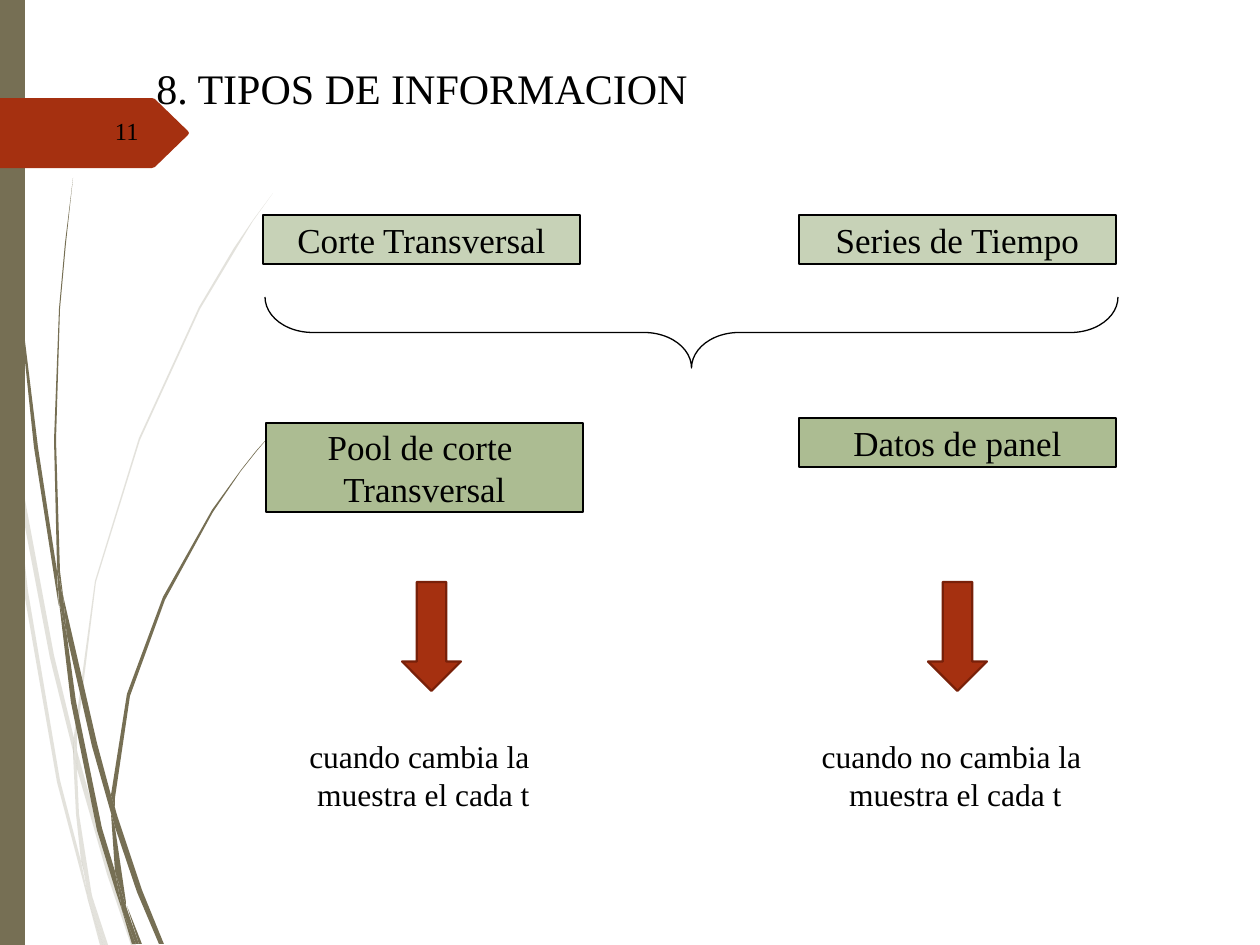
from lxml import etree
from pptx import Presentation
from pptx.dml.color import RGBColor
from pptx.enum.shapes import MSO_SHAPE
from pptx.enum.text import MSO_ANCHOR, PP_ALIGN
from pptx.oxml.ns import qn
from pptx.util import Pt

EMU_PER_PX = 914400 / 126
FONT = "Times New Roman"
BLACK = RGBColor(0x00, 0x00, 0x00)
OLIVE = RGBColor(0x76, 0x6F, 0x54)
RUST = RGBColor(0xA5, 0x30, 0x10)
DARK_RUST = RGBColor(0x78, 0x20, 0x09)
LIGHT_GREEN = RGBColor(0xC7, 0xD2, 0xB7)
GREEN = RGBColor(0xAC, 0xBC, 0x92)

RECTANGLE = MSO_SHAPE.RECTANGLE
RIGHT_BRACE = MSO_SHAPE.RIGHT_BRACE
DOWN_ARROW = MSO_SHAPE.DOWN_ARROW
LEFT, CENTER, RIGHT = PP_ALIGN.LEFT, PP_ALIGN.CENTER, PP_ALIGN.RIGHT
TOP, MIDDLE = MSO_ANCHOR.TOP, MSO_ANCHOR.MIDDLE

PALE_BLADES = [
    [(10, 441), (8, 406), (0, 355), (0, 377), (9, 433)],
    [(50, 658), (74, 755), (74, 738), (54, 655), (13, 435), (15, 474)],
    [(81, 765), (77, 751), (77, 769), (107, 874), (131, 945), (136, 945), (111, 872)],
    [(105, 945), (108, 945), (92, 896)],
    [(81, 861), (60, 780), (28, 591), (15, 474), (10, 441), (24, 592), (57, 782),
     (81, 873), (88, 900), (87, 891)],
    [(73, 755), (76, 814), (81, 861), (84, 872), (92, 896), (91, 890), (79, 814),
     (77, 769), (77, 766)],
    [(77, 736), (96, 582), (140, 440), (200, 309), (236, 249), (253, 221), (273, 193),
     (253, 220), (234, 248), (199, 307), (139, 438), (95, 581), (74, 736), (74, 738),
     (77, 751)],
    [(88, 900), (100, 945), (103, 945)],
    [(77, 766), (77, 769), (77, 751), (74, 738), (73, 755)],
    [(84, 872), (82, 861), (87, 891), (88, 900), (103, 945), (105, 945), (92, 896)],
]
DARK_BLADES = [
    [(6, 139), (18, 294), (34, 447), (58, 601), (59, 606), (57, 576), (57, 571),
     (38, 447), (19, 292), (8, 137), (5, 60), (4, 0), (3, 0), (4, 60)],
    [(92, 746), (111, 813), (111, 798), (111, 795), (97, 743), (63, 595), (67, 636)],
    [(118, 818), (115, 808), (115, 827), (137, 892), (159, 944), (164, 944), (142, 890)],
    [(115, 871), (102, 828), (76, 701), (67, 636), (59, 601), (71, 702), (97, 830),
     (116, 892), (122, 910), (121, 903)],
    [(63, 595), (60, 571), (56, 440), (60, 309), (66, 243), (73, 178), (65, 243),
     (59, 309), (54, 440), (57, 566), (62, 593)],
    [(139, 944), (142, 944), (127, 906)],
    [(59, 601), (67, 636), (63, 595), (62, 593), (57, 566), (57, 571)],
    [(115, 798), (130, 696), (165, 600), (213, 512), (241, 471), (256, 452), (272, 433),
     (256, 451), (241, 470), (212, 510), (163, 597), (127, 694), (111, 795), (115, 808)],
    [(122, 910), (132, 944), (136, 944)],
    [(111, 813), (115, 871), (121, 890), (126, 906), (126, 902), (115, 827), (113, 820)],
    [(111, 813), (113, 820), (115, 827), (115, 808), (111, 795)],
    [(121, 890), (115, 871), (121, 903), (122, 910), (136, 944), (139, 944), (126, 906)],
]
TAG_OUTLINE = [(188, 37), (156, 68), (155, 69), (152, 70), (0, 70), (0, 0),
               (152, 0), (155, 1), (156, 2), (188, 33), (189, 35)]
COLUMNS = [
    (0, ["Corte Transversal"], (266, 423, 317, 89), ["Pool de corte ", "Transversal"],
     402, ["cuando cambia la ", "muestra el cada t"], 266),
    (536, ["Series de Tiempo"], (799, 418, 317, 49), ["Datos de panel"],
     928, ["cuando no cambia la ", "muestra el cada t"], 798),
]


def emu(px):
    return round(px * EMU_PER_PX)


def apply(target, values):
    for name, value in values.items():
        setattr(target, name, value)


def write(shape, lines, size, align=CENTER, anchor=MIDDLE, wrap=False, spacing=1.0):
    frame = shape.text_frame
    apply(frame, {"word_wrap": wrap, "vertical_anchor": anchor})
    for index, line in enumerate(lines):
        para = frame.add_paragraph() if index else frame.paragraphs[0]
        apply(para, {"alignment": align, "line_spacing": spacing})
        span = para.add_run()
        span.text = line
        apply(span.font, {"name": FONT, "size": Pt(size)})
        span.font.color.rgb = BLACK


def paint(shape, fill=None, line=None, weight=0.75):
    shape.shadow.inherit = False
    if fill is None:
        shape.fill.background()
    else:
        shape.fill.solid()
        shape.fill.fore_color.rgb = fill
    if line is None:
        shape.line.fill.background()
    else:
        shape.line.color.rgb = line
        shape.line.width = Pt(weight)
    return shape


def add_shape(page, kind, box, **colors):
    return paint(page.shapes.add_shape(kind, *map(emu, box)), **colors)


def add_text(page, box, lines, size, **layout):
    write(page.shapes.add_textbox(*map(emu, box)), lines, size, **layout)


def add_outline(page, left, top, outline, fill):
    points = [(emu(left + x), emu(top + y)) for x, y in outline]
    builder = page.shapes.build_freeform(*points[0])
    builder.add_line_segments(points[1:], close=True)
    return paint(builder.convert_to_shape(), fill=fill)


def set_opacity(shape, percent):
    color = shape.fill._xPr.find(qn("a:solidFill"))[0]
    etree.SubElement(color, qn("a:alpha")).set("val", str(percent * 1000))


def add_side_decoration(page, left, top, height):
    for blade in PALE_BLADES:
        set_opacity(add_outline(page, left, top, blade, OLIVE), 20)
    for blade in DARK_BLADES:
        add_outline(page, left, top, blade, OLIVE)
    add_shape(page, RECTANGLE, (left, top, 25, height), fill=OLIVE)


def add_page_tag(page, left, top):
    add_outline(page, left, top, TAG_OUTLINE, RUST)
    add_text(page, (left + 70, top + 10, 81, 50), ["11"], 14,
             align=RIGHT, wrap=True, spacing=0.8)


def add_brace(page, left, top, width, height):
    middle_x, middle_y = left + width / 2, top + height / 2
    box = (middle_x - height / 2, middle_y - width / 2, height, width)
    brace = add_shape(page, RIGHT_BRACE, box, line=BLACK)
    brace.rotation = 90
    brace.adjustments[0] = 0.67


def add_column(page, left, top, column):
    offset, source, result_box, result, arrow_left, note, note_left = column
    source_box = (left + offset, top, 317, 49)
    for box, fill, lines in ((source_box, LIGHT_GREEN, source),
                             (result_box, GREEN, result)):
        write(add_shape(page, RECTANGLE, box, fill=fill, line=BLACK), lines, 20)
    add_shape(page, DOWN_ARROW, (arrow_left, top + 367, 59, 109),
              fill=RUST, line=DARK_RUST, weight=1.25)
    add_text(page, (note_left, top + 516, 315, 126), note, 18, anchor=TOP, wrap=True)


def main():
    deck = Presentation()
    apply(deck, {"slide_width": emu(1260), "slide_height": emu(945)})
    page = deck.slides.add_slide(deck.slide_layouts[6])
    add_side_decoration(page, 0, 0, 945)
    add_page_tag(page, 0, 98)
    add_text(page, (144, 56, 557, 63), ["8. TIPOS DE INFORMACION"], 24,
             align=LEFT, anchor=TOP)
    for column in COLUMNS:
        add_column(page, 263, 215, column)
    add_brace(page, 265, 297, 853, 71)
    deck.save("out.pptx")


if __name__ == "__main__":
    main()
